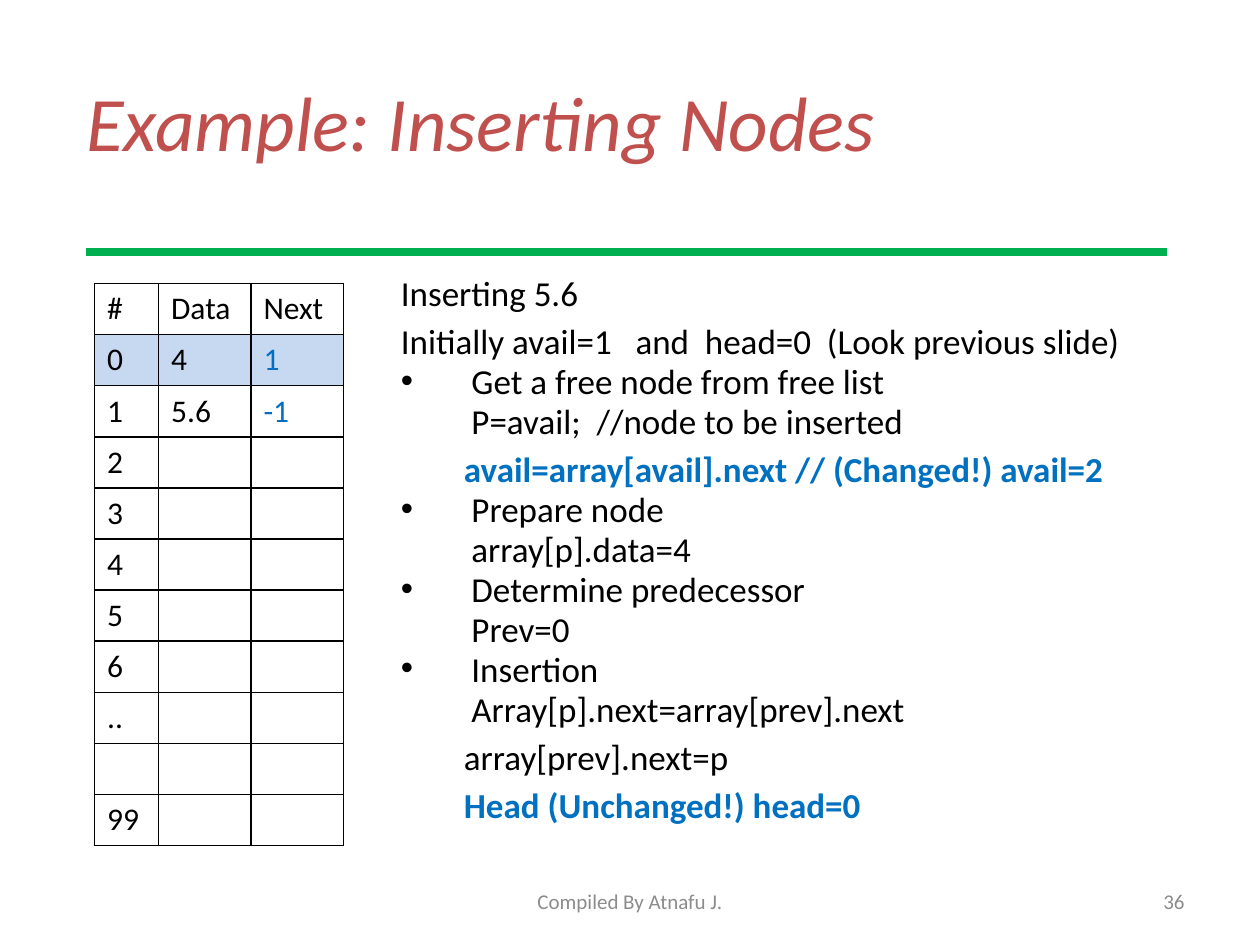
import pptx
import pptx.dml.color
import pptx.enum.shapes
import pptx.enum.text
import pptx.oxml
import pptx.oxml.ns
import pptx.util

ALIGN = pptx.enum.text.PP_ALIGN
ANCHOR = pptx.enum.text.MSO_ANCHOR
BLACK, BLUE, GREEN, RED, GREY, PALE = "000000", "0070C0", "00B050", "C0504D", "8C8C8C", "C6D9F1"


def colour(code):
    return pptx.dml.color.RGBColor.from_string(code)


def element(parent, tag, **attributes):
    child = pptx.oxml.parse_xml(f"<{tag} {pptx.oxml.ns.nsdecls('a')}/>")
    for name, value in attributes.items():
        child.set(name, str(value))
    parent.append(child)
    return child


class SlideBuilder:
    """Draws styled elements on one slide, measured on a grid of 120 columns by 90 rows."""

    font = "Calibri"

    def __init__(self, deck):
        self.column = deck.slide_width / 120
        self.row = deck.slide_height / 90
        self.page = deck.slides.add_slide(deck.slide_layouts[5])

    def area(self, left, top, width, height):
        return (round(left * self.column), round(top * self.row),
                round(width * self.column), round(height * self.row))

    def add_span(self, para, text, size, code=BLACK, bold=False, italic=False):
        span = para.add_run()
        span.text = text
        span.font.name, span.font.size = self.font, pptx.util.Pt(size)
        span.font.bold, span.font.italic = bold, italic
        span.font.color.rgb = colour(code)

    def title(self, text, *area):
        box = self.page.shapes.title
        box.left, box.top, box.width, box.height = self.area(*area)
        frame = box.text_frame
        frame.vertical_anchor = ANCHOR.MIDDLE
        frame.paragraphs[0].alignment = ALIGN.LEFT
        self.add_span(frame.paragraphs[0], text, 44, RED, italic=True)

    def text_box(self, anchor, *area):
        frame = self.page.shapes.add_textbox(*self.area(*area)).text_frame
        frame.word_wrap = True
        frame.vertical_anchor = anchor
        return frame

    def footer(self, text, alignment, *area):
        para = self.text_box(ANCHOR.MIDDLE, *area).paragraphs[0]
        para.alignment = alignment
        self.add_span(para, text, 12, GREY)

    def rule(self, left, right, top):
        x, y, width, _ = self.area(left, top, right - left, 0)
        line = self.page.shapes.add_connector(
            pptx.enum.shapes.MSO_CONNECTOR.STRAIGHT, x, y, x + width, y)
        line.line.color.rgb = colour(GREEN)
        line.line.width = pptx.util.Pt(4.25)
        element(line._element.spPr, "a:effectLst")

    def steps(self, items, *area):
        frame = self.text_box(ANCHOR.TOP, *area)
        for index, (kind, text) in enumerate(items):
            para = frame.paragraphs[0] if index == 0 else frame.add_paragraph()
            margin, indent, spacing, code, bold = STEP_STYLES[kind]
            para.space_before = pptx.util.Pt(3.6)
            para.line_spacing = spacing
            properties = para._p.get_or_add_pPr()
            properties.set("marL", str(pptx.util.Inches(margin)))
            properties.set("indent", str(pptx.util.Inches(indent)))
            if kind == "bullet":
                element(properties, "a:buFont", typeface="Arial")
                element(properties, "a:buChar", char="•")
            self.add_span(para, text, 20, code, bold)

    def border(self, cell):
        properties = cell._tc.get_or_add_tcPr()
        for index, side in enumerate(("a:lnL", "a:lnR", "a:lnT", "a:lnB")):
            edge = element(properties, side, w=pptx.util.Pt(1))
            element(element(edge, "a:solidFill"), "a:srgbClr", val=BLACK)
            properties.insert(index, edge)

    def table(self, rows, widths, height, left, top, highlighted):
        frame = self.page.shapes.add_table(
            len(rows), len(widths), *self.area(left, top, sum(widths), height * len(rows)))
        grid = frame.table
        for column, width in zip(grid.columns, widths):
            column.width = round(width * self.column)
        for r, values in enumerate(rows):
            grid.rows[r].height = round(height * self.row)
            for c, value in enumerate(values):
                cell = grid.cell(r, c)
                cell.vertical_anchor = ANCHOR.MIDDLE
                if r == highlighted:
                    cell.fill.solid()
                    cell.fill.fore_color.rgb = colour(PALE)
                else:
                    cell.fill.background()
                self.border(cell)
                if value:
                    code = BLUE if r and c == 2 else BLACK
                    self.add_span(cell.text_frame.paragraphs[0], value, 18, code)


STEP_STYLES = {
    "intro": (0, 0, 0.8, BLACK, False),
    "state": (0, 0, 1.0, BLACK, False),
    "bullet": (0.56, -0.56, 0.8, BLACK, False),
    "code": (0.56, 0, 0.8, BLACK, False),
    "sub": (0.5, 0, 1.0, BLACK, False),
    "result": (0.5, 0, 1.0, BLUE, True),
}

STEPS = [
    ("intro", "Inserting 5.6"),
    ("state", "Initially avail=1   and  head=0  (Look previous slide)"),
    ("bullet", "Get a free node from free list"),
    ("code", "P=avail;  //node to be inserted"),
    ("result", "avail=array[avail].next // (Changed!) avail=2"),
    ("bullet", "Prepare node"),
    ("code", "array[p].data=4"),
    ("bullet", "Determine predecessor"),
    ("code", "Prev=0"),
    ("bullet", "Insertion"),
    ("code", "Array[p].next=array[prev].next"),
    ("sub", "array[prev].next=p"),
    ("result", "Head (Unchanged!) head=0"),
]

NODES = [("#", "Data", "Next"), ("0", "4", "1"), ("1", "5.6", "-1")]
NODES += [(label, "", "") for label in ("2", "3", "4", "5", "6", "..", "", "99")]


def main():
    deck = pptx.Presentation()
    deck.slide_width, deck.slide_height = pptx.util.Inches(10), pptx.util.Inches(7.5)
    slide = SlideBuilder(deck)
    slide.title("Example: Inserting Nodes", 7, 4, 108, 15)
    slide.rule(8.2, 111.1, 24)
    slide.footer("36", ALIGN.RIGHT, 86, 83.4, 28, 4.8)
    slide.table(NODES, (6.1, 8.8, 8.8), 4.87, 9, 27, highlighted=1)
    slide.steps(STEPS, 37, 26, 76, 55)
    slide.footer("Compiled By Atnafu J.", ALIGN.CENTER, 41, 83.4, 38, 4.8)
    deck.save("out.pptx")


if __name__ == "__main__":
    main()
